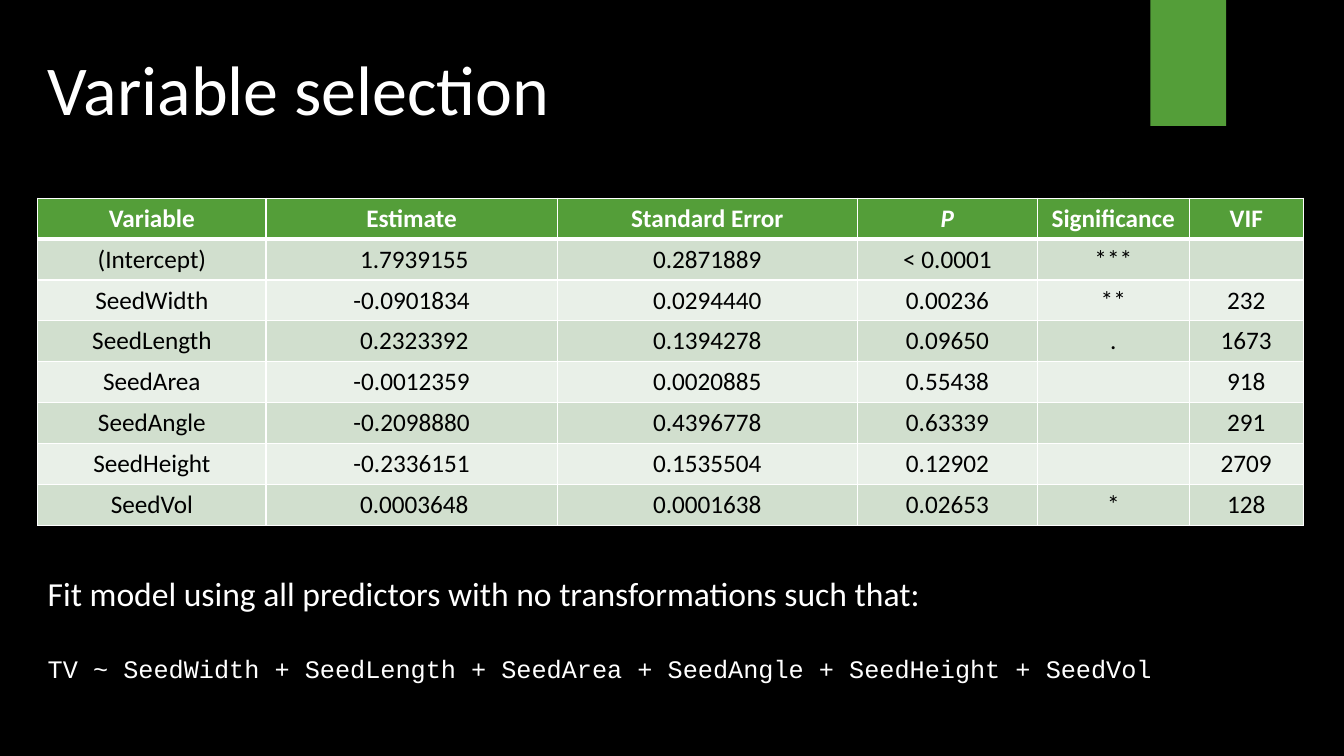
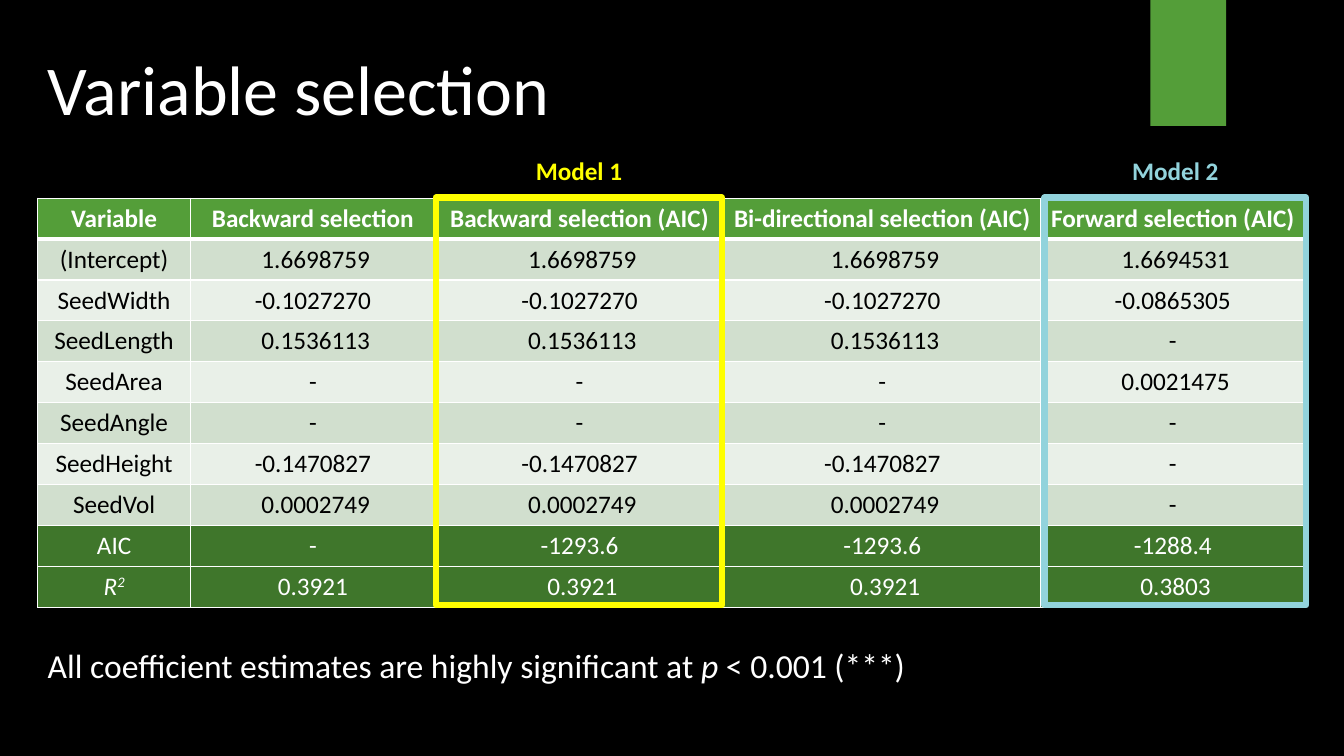
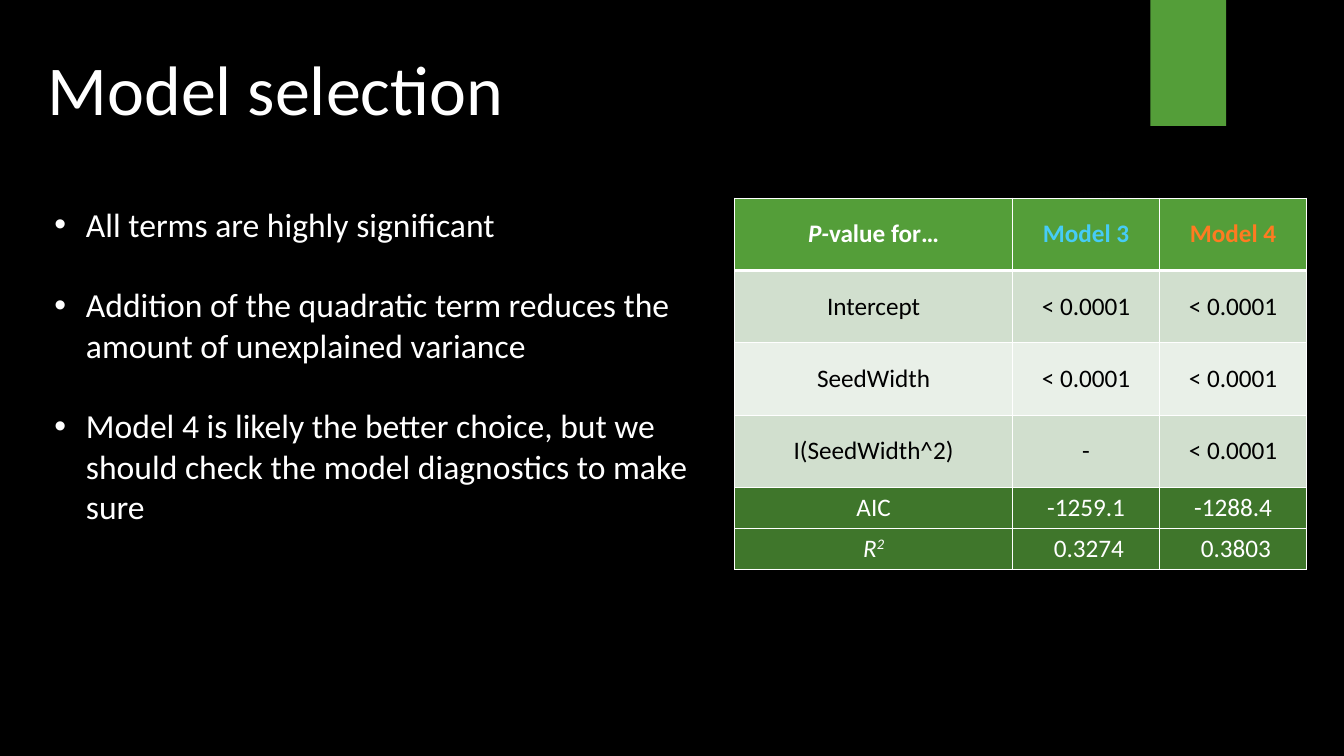
import pptx
import pptx.dml.color
import pptx.enum.shapes
import pptx.enum.text
import pptx.oxml.ns
import pptx.util
from lxml import etree

Pt = pptx.util.Pt
RGB = pptx.dml.color.RGBColor
ALIGN = pptx.enum.text.PP_ALIGN
SHAPE = pptx.enum.shapes.MSO_SHAPE
qn = pptx.oxml.ns.qn

BLACK = RGB(0x00, 0x00, 0x00)
WHITE = RGB(0xFF, 0xFF, 0xFF)
GREEN = RGB(0x54, 0x9E, 0x39)
DARK_GREEN = RGB(0x3F, 0x76, 0x2B)
GLOW = RGB(0x87, 0xA8, 0x96)
BANDS = (RGB(0xD1, 0xDF, 0xCE), RGB(0xE9, 0xF0, 0xE8))
YELLOW = RGB(0xFF, 0xFF, 0x00)
TEAL = RGB(0x92, 0xD3, 0xDC)
SKY = RGB(0x46, 0xCC, 0xF6)
ORANGE = RGB(0xFF, 0x7B, 0x21)

BODY_FONT = "Calibri"
CODE_FONT = "Courier New"
LEFT = 27
TABLE_TOP = 141.5
ROW = 29.25
TALL_ROW = 51.7
PARA_GAP = 28.8

ITALIC = {"italic": True}
R_SQUARED = [("R", ITALIC), ("2", {"italic": True, "baseline": 30000})]


def add_runs(p, text, size, color, bold=False, font=BODY_FONT):
    """Add a string, or a list of (text, style) runs, to a paragraph."""
    for words, style in [(text, {})] if isinstance(text, str) else text:
        r = p.add_run()
        r.text = words
        r.font.name = font
        r.font.size = Pt(size)
        r.font.bold = bold
        r.font.italic = style.get("italic", False)
        r.font.color.rgb = style.get("color", color)
        if "baseline" in style:
            r._r.get_or_add_rPr().set("baseline", str(style["baseline"]))


def add_textbox(s, box):
    """Add a wrapping text box and return its text frame."""
    tf = s.shapes.add_textbox(*map(Pt, box)).text_frame
    tf.word_wrap = True
    return tf


def add_plain_shape(s, kind, box, fill=None, line=None):
    """Add a shape with an optional fill and a 4.5 pt outline."""
    sp = s.shapes.add_shape(kind, *map(Pt, box))
    sp.shadow.inherit = False
    if fill is None:
        sp.fill.background()
    else:
        sp.fill.solid()
        sp.fill.fore_color.rgb = fill
    if line is None:
        sp.line.fill.background()
    else:
        sp.line.color.rgb = line
        sp.line.width = Pt(4.5)
    return sp


def add_glow(s, box):
    """Add a faint round glow that fades out from its centre."""
    sp = add_plain_shape(s, SHAPE.OVAL, box)
    spPr = sp._element.spPr
    grad = etree.Element(qn("a:gradFill"))
    stops = etree.SubElement(grad, qn("a:gsLst"))
    for pos, alpha in ((0, 7), (36, 6), (69, 0)):
        gs = etree.SubElement(stops, qn("a:gs"), pos=str(pos * 1000))
        clr = etree.SubElement(gs, qn("a:srgbClr"), val=str(GLOW))
        etree.SubElement(clr, qn("a:alpha"), val=str(alpha * 1000))
    circle = etree.SubElement(grad, qn("a:path"))
    circle.set("path", "circle")
    etree.SubElement(circle, qn("a:fillToRect"), dict.fromkeys("ltrb", "50000"))
    spPr.replace(spPr.find(qn("a:noFill")), grad)


def new_slide(prs, title):
    """Add a black slide with the glow, the green tab and its title."""
    s = prs.slides.add_slide(prs.slide_layouts[6])
    s.background.fill.solid()
    s.background.fill.fore_color.rgb = BLACK
    add_glow(s, (677.5, 132, 222, 222))
    add_plain_shape(s, SHAPE.RECTANGLE, (821.8, 0, 54, 90), fill=GREEN)
    tf = add_textbox(s, (LEFT, 29, 677.5, 67.5))
    add_runs(tf.paragraphs[0], title, 50, WHITE)
    return s


def set_borders(cell, top, bottom):
    """Draw white cell borders, with the given top and bottom widths."""
    tcPr = cell._tc.get_or_add_tcPr()
    for tag, width in (("lnL", 1), ("lnR", 1), ("lnT", top), ("lnB", bottom)):
        ln = etree.SubElement(tcPr, qn("a:" + tag), w=str(Pt(width)))
        fill = etree.SubElement(ln, qn("a:solidFill"))
        etree.SubElement(fill, qn("a:srgbClr"), val=str(WHITE))


def add_data_table(s, left, widths, heights, rows, summary=0):
    """Add a table with a green header, banded rows and dark summary rows."""
    box = (left, TABLE_TOP, sum(widths), sum(heights))
    table = s.shapes.add_table(len(rows), len(widths), *map(Pt, box)).table
    table.first_row = table.horz_banding = False
    for col, width in zip(table.columns, widths):
        col.width = Pt(width)
    for i, (row, height) in enumerate(zip(rows, heights)):
        table.rows[i].height = Pt(height)
        if i == 0:
            fill, color = GREEN, WHITE
        elif i >= len(rows) - summary:
            fill, color = DARK_GREEN, WHITE
        else:
            fill, color = BANDS[(i - 1) % 2], BLACK
        for j, text in enumerate(row):
            cell = table.cell(i, j)
            set_borders(cell, 3 if i == 1 else 1, 3 if i == 0 else 1)
            cell.fill.solid()
            cell.fill.fore_color.rgb = fill
            cell.margin_left = cell.margin_right = Pt(5)
            cell.vertical_anchor = pptx.enum.text.MSO_ANCHOR.MIDDLE
            p = cell.text_frame.paragraphs[0]
            p.alignment = ALIGN.CENTER
            if text:
                add_runs(p, text, 18, color, bold=i == 0)


def add_model_frame(s, box, name, color):
    """Outline a table column and centre the model name above it."""
    left, top, width, height = box
    label_width = 170
    add_plain_shape(s, SHAPE.RECTANGLE, box, line=color)
    tf = add_textbox(s, (left + (width - label_width) / 2, top - 33.5, label_width, 29))
    p = tf.paragraphs[0]
    p.alignment = ALIGN.CENTER
    add_runs(p, name, 18, color, bold=True)


def add_bullets(s, box, items):
    """Add a bulleted list with a line of space between items."""
    tf = add_textbox(s, box)
    for i, item in enumerate(items):
        p = tf.add_paragraph() if i else tf.paragraphs[0]
        pPr = p._p.get_or_add_pPr()
        pPr.set("marL", str(Pt(22.5)))
        pPr.set("indent", str(-Pt(22.5)))
        etree.SubElement(pPr, qn("a:buFont"), typeface="Arial")
        etree.SubElement(pPr, qn("a:buChar"), char="•")
        if i:
            p.space_before = Pt(PARA_GAP)
        add_runs(p, item, 24, WHITE)


def full_model_slide(prs):
    """Build the slide with the fit of all predictors."""
    s = new_slide(prs, "Variable selection")
    rows = [
        ("Variable", "Estimate", "Standard Error", [("P", ITALIC)], "Significance", "VIF"),
        ("(Intercept)", " 1.7939155", "0.2871889", "< 0.0001", "***", ""),
        ("SeedWidth", "-0.0901834", "0.0294440", "0.00236", "**", "232"),
        ("SeedLength", " 0.2323392", "0.1394278", "0.09650", ".", "1673"),
        ("SeedArea", "-0.0012359", "0.0020885", "0.55438", "", "918"),
        ("SeedAngle", "-0.2098880", "0.4396778", "0.63339", "", "291"),
        ("SeedHeight", "-0.2336151", "0.1535504", "0.12902", "", "2709"),
        ("SeedVol", " 0.0003648", "0.0001638", "0.02653", "*", "128"),
    ]
    widths = (163, 208, 214.5, 128.5, 108.5, 81.5)
    add_data_table(s, LEFT, widths, [ROW] * len(rows), rows)
    tf = add_textbox(s, (LEFT, 405.5, 887, 87))
    intro = "Fit model using all predictors with no transformations such that:"
    add_runs(tf.paragraphs[0], intro, 24, WHITE)
    p = tf.add_paragraph()
    p.space_before = Pt(PARA_GAP)
    formula = "TV ~ SeedWidth + SeedLength + SeedArea + SeedAngle + SeedHeight + SeedVol"
    add_runs(p, formula, 18, WHITE, font=CODE_FONT)


def selection_slide(prs):
    """Build the slide that compares the selection methods."""
    s = new_slide(prs, "Variable selection")
    rows = [
        ("Variable", "Backward selection", "Backward selection (AIC)",
         "Bi-directional selection (AIC)", "Forward selection (AIC)"),
        ("(Intercept)", *[" 1.6698759"] * 3, " 1.6694531"),
        ("SeedWidth", *["-0.1027270"] * 3, "-0.0865305"),
        ("SeedLength", *[" 0.1536113"] * 3, "-"),
        ("SeedArea", *["-"] * 3, " 0.0021475"),
        ("SeedAngle", *["-"] * 4),
        ("SeedHeight", *["-0.1470827"] * 3, "-"),
        ("SeedVol", *[" 0.0002749"] * 3, "-"),
        ("AIC", "-", "-1293.6", "-1293.6", "-1288.4"),
        (R_SQUARED, "0.3921", " 0.3921", " 0.3921", " 0.3803"),
    ]
    widths = (109, 175, 206, 226.5, 188.5)
    add_data_table(s, LEFT, widths, [ROW] * len(rows), rows, summary=2)
    tf = add_textbox(s, (LEFT, 457, 887, 36))
    note = [("All coefficient estimates are highly significant at ", {}),
            ("p", ITALIC), (" < 0.001 (***)", {})]
    add_runs(tf.paragraphs[0], note, 24, WHITE)
    add_model_frame(s, (311.3, 141.2, 204.5, 291), "Model 1", YELLOW)
    add_model_frame(s, (746, 141.2, 187, 291), "Model 2", TEAL)


def model_slide(prs):
    """Build the slide that compares models 3 and 4."""
    s = new_slide(prs, "Model selection")
    rows = [
        ([("P-", ITALIC), ("value for…", {})],
         [("Model 3", {"color": SKY})], [("Model 4", {"color": ORANGE})]),
        ("Intercept", "< 0.0001", "< 0.0001"),
        ("SeedWidth", "< 0.0001", "< 0.0001"),
        ("I(SeedWidth^2)", "-", "< 0.0001"),
        ("AIC", "-1259.1", "-1288.4"),
        (R_SQUARED, " 0.3274", " 0.3803"),
    ]
    heights = [TALL_ROW] * 4 + [ROW] * 2
    add_data_table(s, 524.8, (198.5, 105, 105), heights, rows, summary=2)
    add_bullets(s, (31.8, 142, 477.5, 240), [
        "All terms are highly significant",
        "Addition of the quadratic term reduces the amount of unexplained variance",
        "Model 4 is likely the better choice, but we should check the model "
        "diagnostics to make sure",
    ])


def main():
    """Build the presentation and save it."""
    prs = pptx.Presentation()
    prs.slide_width, prs.slide_height = Pt(960), Pt(540)
    full_model_slide(prs)
    selection_slide(prs)
    model_slide(prs)
    prs.save("out.pptx")


if __name__ == "__main__":
    main()
